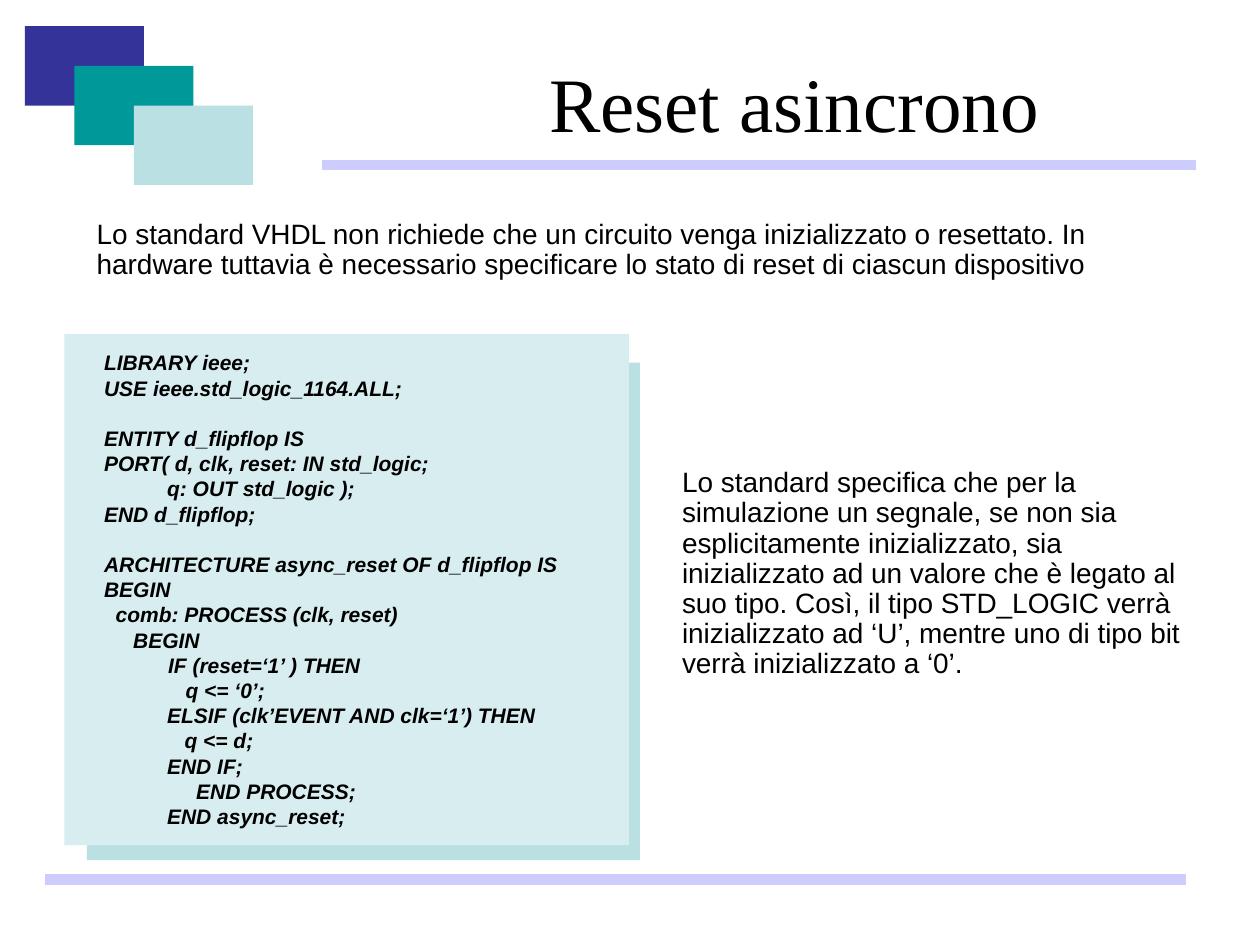
from dataclasses import dataclass

from lxml import etree
from pptx import Presentation
from pptx.dml.color import RGBColor
from pptx.enum.shapes import MSO_CONNECTOR, MSO_SHAPE
from pptx.enum.text import MSO_ANCHOR, MSO_AUTO_SIZE, PP_ALIGN
from pptx.oxml.ns import qn
from pptx.util import Cm, Pt

RECTANGLE = MSO_SHAPE.RECTANGLE
STRAIGHT = MSO_CONNECTOR.STRAIGHT
MIDDLE = MSO_ANCHOR.MIDDLE
CENTER = PP_ALIGN.CENTER
NO_FIT = MSO_AUTO_SIZE.NONE


@dataclass(frozen=True)
class Theme:
    ink: str = "000000"
    navy: str = "333399"
    teal: str = "009999"
    aqua: str = "BBE0E3"
    pale: str = "D8EDF0"
    lilac: str = "CCCCFF"
    title_font: str = "Times New Roman"
    body_font: str = "Arial"
    title_size: float = 44
    body_size: float = 16
    code_size: float = 12
    code_gap: float = 14.4
    rule_width: float = 6


INTRO = (
    "Lo standard VHDL non richiede che un circuito venga inizializzato o resettato. "
    "In hardware tuttavia è necessario specificare lo stato di reset di ciascun dispositivo"
)
REMARK = (
    "Lo standard specifica che per la simulazione un segnale, se non sia esplicitamente "
    "inizializzato, sia inizializzato ad un valore che è legato al suo tipo. Così, il tipo "
    "STD_LOGIC verrà inizializzato ad ‘U’, mentre uno di tipo bit verrà inizializzato a ‘0’."
)

# Each block of code: left indent in cm and its lines
CODE_BLOCKS = [
    (0, ["LIBRARY ieee;", "USE ieee.std_logic_1164.ALL;"]),
    (0, [
        "ENTITY d_flipflop IS",
        "PORT( d, clk, reset: IN std_logic;",
        "\tq: OUT std_logic );",
        "END d_flipflop;",
    ]),
    (0, [
        "ARCHITECTURE async_reset OF d_flipflop IS",
        "BEGIN",
        "  comb: PROCESS (clk, reset)",
        "     BEGIN",
        "           IF (reset=‘1’ ) THEN",
        "              q <= ‘0’;",
    ]),
    (1.27, [
        "ELSIF (clk’EVENT AND clk=‘1’) THEN",
        "   q <= d;",
        "END IF;",
        "     END PROCESS;",
        "END async_reset;",
    ]),
]
SPACED_BLOCKS = (1, 2)


class SlideBuilder:
    def __init__(self, page, theme):
        self.page = page
        self.theme = theme

    def style(self, para, font, size, bold=False, italic=False):
        para.font.name = font
        para.font.size = Pt(size)
        para.font.bold = bold
        para.font.italic = italic
        para.font.color.rgb = RGBColor.from_string(self.theme.ink)

    def title(self, text, left, top, width, height):
        box = self.page.shapes.title
        box.left, box.top, box.width, box.height = map(Cm, (left, top, width, height))
        frame = box.text_frame
        frame.text = text
        frame.vertical_anchor = MIDDLE
        frame.auto_size = NO_FIT
        para = frame.paragraphs[0]
        para.alignment = CENTER
        self.style(para, self.theme.title_font, self.theme.title_size)

    def rectangle(self, color, left, top, width, height):
        box = self.page.shapes.add_shape(RECTANGLE, *map(Cm, (left, top, width, height)))
        box.shadow.inherit = False
        box.fill.solid()
        box.fill.fore_color.rgb = RGBColor.from_string(color)
        box.line.fill.background()

    def rule(self, left, right, y):
        line = self.page.shapes.add_connector(STRAIGHT, *map(Cm, (left, y, right, y)))
        line.line.color.rgb = RGBColor.from_string(self.theme.lilac)
        line.line.width = Pt(self.theme.rule_width)
        etree.SubElement(line._element.spPr, qn("a:effectLst"))

    def text_frame(self, left, top, width, height):
        box = self.page.shapes.add_textbox(*map(Cm, (left, top, width, height)))
        box.text_frame.word_wrap = True
        return box.text_frame

    def body(self, text, left, top, width, height):
        para = self.text_frame(left, top, width, height).paragraphs[0]
        para.text = text
        para.line_spacing = 0.9
        self.style(para, self.theme.body_font, self.theme.body_size)

    def code(self, blocks, left, top, width, height):
        frame = self.text_frame(left, top, width, height)
        para = frame.paragraphs[0]
        for number, (indent, lines) in enumerate(blocks):
            for row, text in enumerate(lines):
                if number or row:
                    para = frame.add_paragraph()
                para.text = text
                if row == 0 and number in SPACED_BLOCKS:
                    para.space_before = Pt(self.theme.code_gap)
                properties = para._p.get_or_add_pPr()
                properties.set("marL", str(Cm(indent)))
                properties.set("indent", "0")
                if "\t" in text:
                    tabs = etree.SubElement(properties, qn("a:tabLst"))
                    etree.SubElement(tabs, qn("a:tab"), pos=str(Cm(2.54)), algn="l")
                self.style(para, self.theme.body_font, self.theme.code_size, True, True)


def main():
    deck = Presentation()
    deck.slide_width, deck.slide_height = Cm(25.4), Cm(19.05)
    theme = Theme()
    slide = SlideBuilder(deck.slides.add_slide(deck.slide_layouts[5]), theme)

    # Heading with stepped blocks and rules
    slide.title("Reset asincrono", 7.9, 0.97, 16.23, 2.16)
    steps = [(theme.navy, 0.5, 0.53), (theme.teal, 1.5, 1.33), (theme.aqua, 2.7, 2.13)]
    for color, left, top in steps:
        slide.rectangle(color, left, top, 2.4, 1.6)
    slide.rule(6.5, 24.1, 3.33)
    slide.rule(0.9, 23.9, 17.73)

    # Explanations
    slide.body(INTRO, 1.7, 4.32, 22.6, 1.47)
    slide.body(REMARK, 13.5, 9.32, 11, 4.52)

    # Code panel with its offset backing
    slide.rectangle(theme.aqua, 1.75, 7.31, 11.15, 10.03)
    slide.rectangle(theme.pale, 1.3, 6.73, 11.38, 10.31)
    slide.code(CODE_BLOCKS, 1.85, 6.93, 10.64, 9.91)

    deck.save("out.pptx")


if __name__ == "__main__":
    main()
